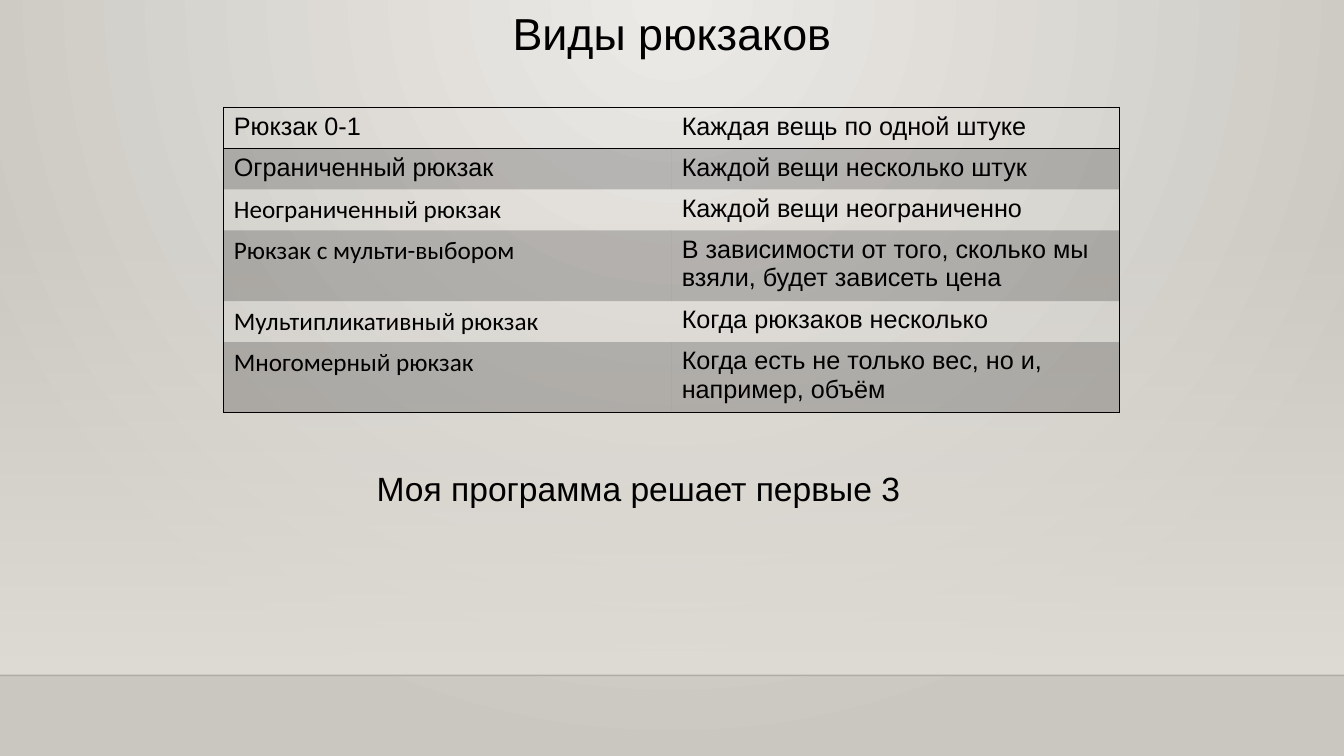
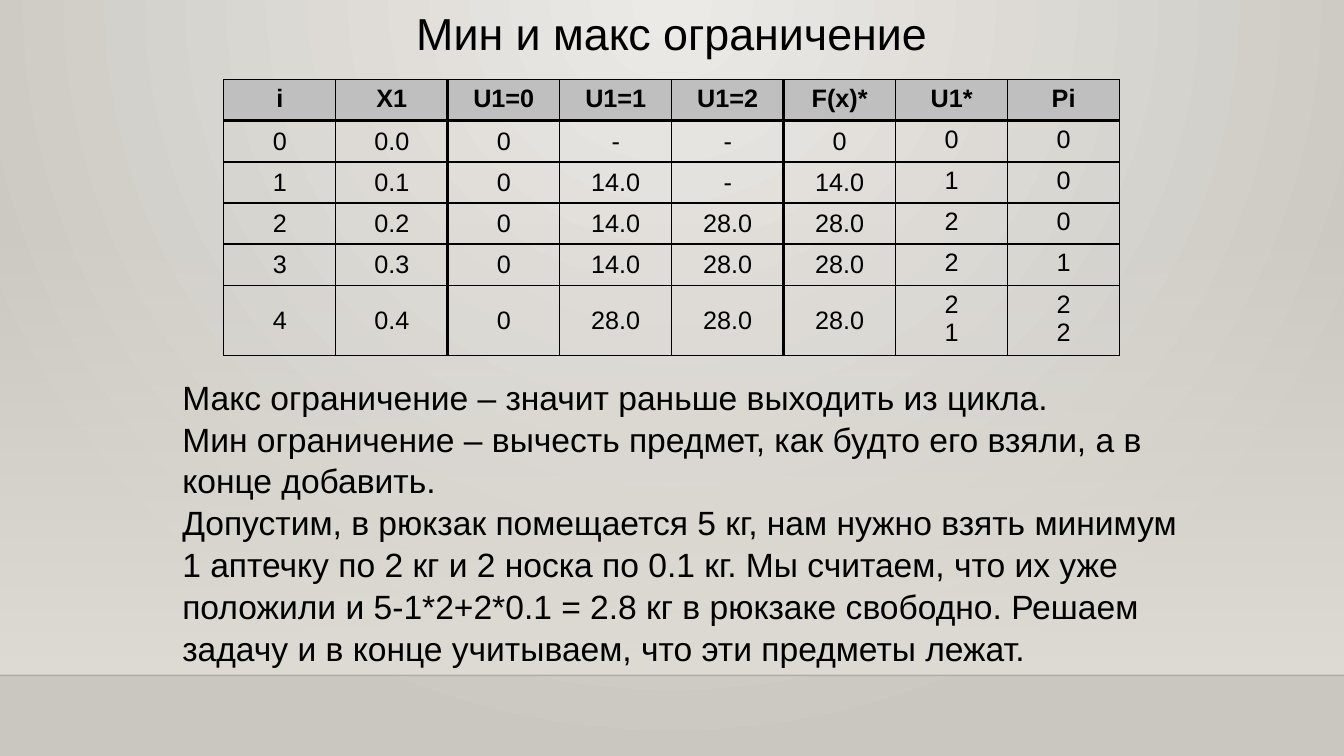
from dataclasses import dataclass

from lxml.etree import SubElement
from pptx import Presentation
from pptx.dml.color import RGBColor
from pptx.enum.shapes import MSO_CONNECTOR, MSO_SHAPE
from pptx.enum.text import MSO_ANCHOR, MSO_AUTO_SIZE, PP_ALIGN
from pptx.oxml.ns import qn
from pptx.util import Cm, Pt

SLIDE_WIDTH, SLIDE_HEIGHT = Cm(33.87), Cm(19.05)
FLOOR_TOP = Cm(17.02)
TABLE_LEFT, TABLE_WIDTH = Cm(5.64), Cm(22.58)
ROW_HEIGHT, TALL_ROW_HEIGHT = Cm(1.035), Cm(1.78)
INK = "000000"
GLOW, EDGE, HAZE = "ECEAE7", "CAC7C1", "DFDBD5"
HEADER_GRAY = "BFBFBF"
THIN, THICK = 1, 2.25
PLAIN_TABLE_STYLE = "{2D5ABB26-0587-4C30-8999-92F81FD0307C}"


@dataclass(frozen=True)
class Box:
    left: float
    top: float
    width: float
    height: float


@dataclass(frozen=True)
class Knapsack:
    name: str
    meaning: str
    name_font: str = "Calibri"
    tall: bool = False


TITLE_BOX = Box(5.16, 0, 23.55, 1.63)

KNAPSACKS = [
    Knapsack("Рюкзак 0-1", "Каждая вещь по одной штуке", "Arial"),
    Knapsack("Ограниченный рюкзак", "Каждой вещи несколько штук", "Arial"),
    Knapsack("Неограниченный рюкзак", "Каждой вещи неограниченно"),
    Knapsack(
        "Рюкзак с мульти-выбором",
        "В зависимости от того, сколько мы взяли, будет зависеть цена",
        tall=True,
    ),
    Knapsack("Мультипликативный рюкзак", "Когда рюкзаков несколько"),
    Knapsack(
        "Многомерный рюкзак",
        "Когда есть не только вес, но и, например, объём",
        tall=True,
    ),
]

STEPS = [
    ["i", "X1", "U1=0", "U1=1", "U1=2", "F(x)*", "U1*", "Pi"],
    ["0", "0.0", "0", "-", "-", "0", "0", "0"],
    ["1", "0.1", "0", "14.0", "-", "14.0", "1", "0"],
    ["2", "0.2", "0", "14.0", "28.0", "28.0", "2", "0"],
    ["3", "0.3", "0", "14.0", "28.0", "28.0", "2", "1"],
    ["4", "0.4", "0", "28.0", "28.0", "28.0", "2\n1", "2\n2"],
]
THICK_COLUMN_EDGES = {2, 5}
FIRST_TOP_ALIGNED_COLUMN = 6

LIMITS_TEXT = (
    "Макс ограничение – значит раньше выходить из цикла.\n"
    "Мин ограничение – вычесть предмет, как будто его взяли, а в конце добавить.\n"
    "Допустим, в рюкзак помещается 5 кг, нам нужно взять минимум 1 аптечку по 2 кг "
    "и 2 носка по 0.1 кг. Мы считаем, что их уже положили и 5-1*2+2*0.1 = 2.8 кг "
    "в рюкзаке свободно. Решаем задачу и в конце учитываем, что эти предметы лежат."
)


def color(hex_code: str) -> RGBColor:
    return RGBColor.from_string(hex_code)


def set_alpha(container, percent: int) -> None:
    tint = container.find(".//" + qn("a:srgbClr"))
    SubElement(tint, qn("a:alpha")).set("val", str(percent * 1000))


def set_gradient(fill, start: str, end: str) -> None:
    fill.gradient()
    for stop, hex_code in zip(fill.gradient_stops, (start, end)):
        stop.color.rgb = color(hex_code)


def write_text(frame, text: str, *, size: float = 18, font: str = "Arial",
               bold: bool = False, align=PP_ALIGN.LEFT, spacing: float = 1.0) -> None:
    for index, line in enumerate(text.split("\n")):
        paragraph = frame.add_paragraph() if index else frame.paragraphs[0]
        paragraph.alignment = align
        paragraph.line_spacing = spacing
        paragraph.space_before = Pt(0)
        run = paragraph.add_run()
        run.text = line
        run.font.size = Pt(size)
        run.font.name = font
        run.font.bold = bold
        run.font.color.rgb = color(INK)


def fill_placeholder(placeholder, box: Box, text: str, **text_format) -> None:
    placeholder.left, placeholder.top = Cm(box.left), Cm(box.top)
    placeholder.width, placeholder.height = Cm(box.width), Cm(box.height)
    frame = placeholder.text_frame
    frame.word_wrap = True
    frame.auto_size = MSO_AUTO_SIZE.NONE
    write_text(frame, text, **text_format)
    for paragraph in frame.paragraphs:
        properties = paragraph._p.get_or_add_pPr()
        properties.set("marL", "0")
        properties.set("indent", "0")
        SubElement(properties, qn("a:buNone"))


def set_borders(cell, **widths: float) -> None:
    properties = cell._tc.get_or_add_tcPr()
    for side, tag in (("left", "a:lnL"), ("right", "a:lnR"),
                      ("top", "a:lnT"), ("bottom", "a:lnB")):
        width = widths.get(side, 0)
        border = SubElement(properties, qn(tag))
        if width:
            border.set("w", str(Pt(width)))
            paint = SubElement(border, qn("a:solidFill"))
            SubElement(paint, qn("a:srgbClr")).set("val", INK)
        else:
            SubElement(border, qn("a:noFill"))


def paint_cell(cell, hex_code: str | None, alpha: int = 100) -> None:
    if hex_code is None:
        cell.fill.background()
        return
    cell.fill.solid()
    cell.fill.fore_color.rgb = color(hex_code)
    if alpha < 100:
        set_alpha(cell._tc.tcPr.find(qn("a:solidFill")), alpha)


def add_plain_table(slide, top: float, row_heights: list, column_count: int):
    frame = slide.shapes.add_table(len(row_heights), column_count, TABLE_LEFT, Cm(top),
                                   TABLE_WIDTH, sum(row_heights))
    table = frame.table
    table.first_row = False
    table.horz_banding = False
    table._tbl.tblPr.find(qn("a:tableStyleId")).text = PLAIN_TABLE_STYLE
    for row, height in zip(table.rows, row_heights):
        row.height = height
    return table


def paint_master(master) -> None:
    set_gradient(master.background.fill, GLOW, EDGE)
    linear = next(master._element.iter(qn("a:lin")))
    gradient = linear.getparent()
    gradient.remove(linear)
    radial = SubElement(gradient, qn("a:path"))
    radial.set("path", "circle")
    focus = SubElement(radial, qn("a:fillToRect"))
    for side, value in (("l", 43000), ("t", 0), ("r", 43000), ("b", 100000)):
        focus.set(side, str(value))


def move_backdrop_to_layout(slide, layout) -> None:
    haze_top = Cm(5.61)
    haze = slide.shapes.add_shape(MSO_SHAPE.RECTANGLE, 0, haze_top,
                                  SLIDE_WIDTH, FLOOR_TOP - haze_top)
    haze.shadow.inherit = False
    haze.line.fill.background()
    set_gradient(haze.fill, HAZE, HAZE)
    haze.fill.gradient_angle = 270
    set_alpha(haze._element.spPr, 0)

    horizon = slide.shapes.add_connector(MSO_CONNECTOR.STRAIGHT, 0, FLOOR_TOP,
                                         SLIDE_WIDTH, FLOOR_TOP)
    horizon.line.color.rgb = color(INK)
    horizon.line.width = Pt(1)
    set_alpha(horizon._element.spPr, 20)
    SubElement(horizon._element.spPr, qn("a:effectLst"))

    for shape_id, piece in enumerate((haze, horizon), start=101):
        piece._element.xpath(".//p:cNvPr")[0].set("id", str(shape_id))
        layout.shapes._spTree.append(piece._element)


def add_titled_slide(deck, layout, title: str, body_box: Box, body: str, **body_format):
    slide = deck.slides.add_slide(layout)
    fill_placeholder(slide.shapes.title, TITLE_BOX, title, size=32, align=PP_ALIGN.CENTER)
    slide.shapes.title.text_frame.vertical_anchor = MSO_ANCHOR.MIDDLE
    fill_placeholder(slide.placeholders[1], body_box, body, size=24, **body_format)
    return slide


def add_knapsack_table(slide) -> None:
    heights = [TALL_ROW_HEIGHT if kind.tall else ROW_HEIGHT for kind in KNAPSACKS]
    table = add_plain_table(slide, 2.7, heights, 2)
    last = len(KNAPSACKS) - 1
    for row, kind in enumerate(KNAPSACKS):
        top = THIN if row in (0, 1) else 0
        bottom = THIN if row in (0, last) else 0
        name, meaning = table.cell(row, 0), table.cell(row, 1)
        write_text(name.text_frame, kind.name, font=kind.name_font)
        write_text(meaning.text_frame, kind.meaning)
        set_borders(name, left=THIN, top=top, bottom=bottom)
        set_borders(meaning, right=THIN, top=top, bottom=bottom)
        for cell in (name, meaning):
            paint_cell(cell, INK if row % 2 else None, alpha=20)


def add_steps_table(slide) -> None:
    heights = [ROW_HEIGHT] * (len(STEPS) - 1) + [TALL_ROW_HEIGHT]
    table = add_plain_table(slide, 2.01, heights, len(STEPS[0]))
    for row, values in enumerate(STEPS):
        header = row == 0
        for column, value in enumerate(values):
            cell = table.cell(row, column)
            write_text(cell.text_frame, value, bold=header, align=PP_ALIGN.CENTER)
            if not header and column < FIRST_TOP_ALIGNED_COLUMN:
                cell.vertical_anchor = MSO_ANCHOR.MIDDLE
            set_borders(
                cell,
                left=THICK if column in THICK_COLUMN_EDGES else THIN,
                right=THICK if column + 1 in THICK_COLUMN_EDGES else THIN,
                top=THICK if row == 1 else THIN,
                bottom=THICK if header else THIN,
            )
            paint_cell(cell, HEADER_GRAY if header else None)


def main() -> None:
    deck = Presentation()
    deck.slide_width, deck.slide_height = SLIDE_WIDTH, SLIDE_HEIGHT
    layout = deck.slide_layouts[1]
    paint_master(deck.slide_master)

    kinds = add_titled_slide(deck, layout, "Виды рюкзаков", Box(3.48, 11.66, 25.22, 1.27),
                             "Моя программа решает первые 3", align=PP_ALIGN.CENTER)
    move_backdrop_to_layout(kinds, layout)
    add_knapsack_table(kinds)

    limits = add_titled_slide(deck, layout, "Мин и макc ограничение",
                              Box(4.34, 9.32, 25.93, 8.46), LIMITS_TEXT, spacing=1.04)
    add_steps_table(limits)

    deck.save("out.pptx")


if __name__ == "__main__":
    main()
